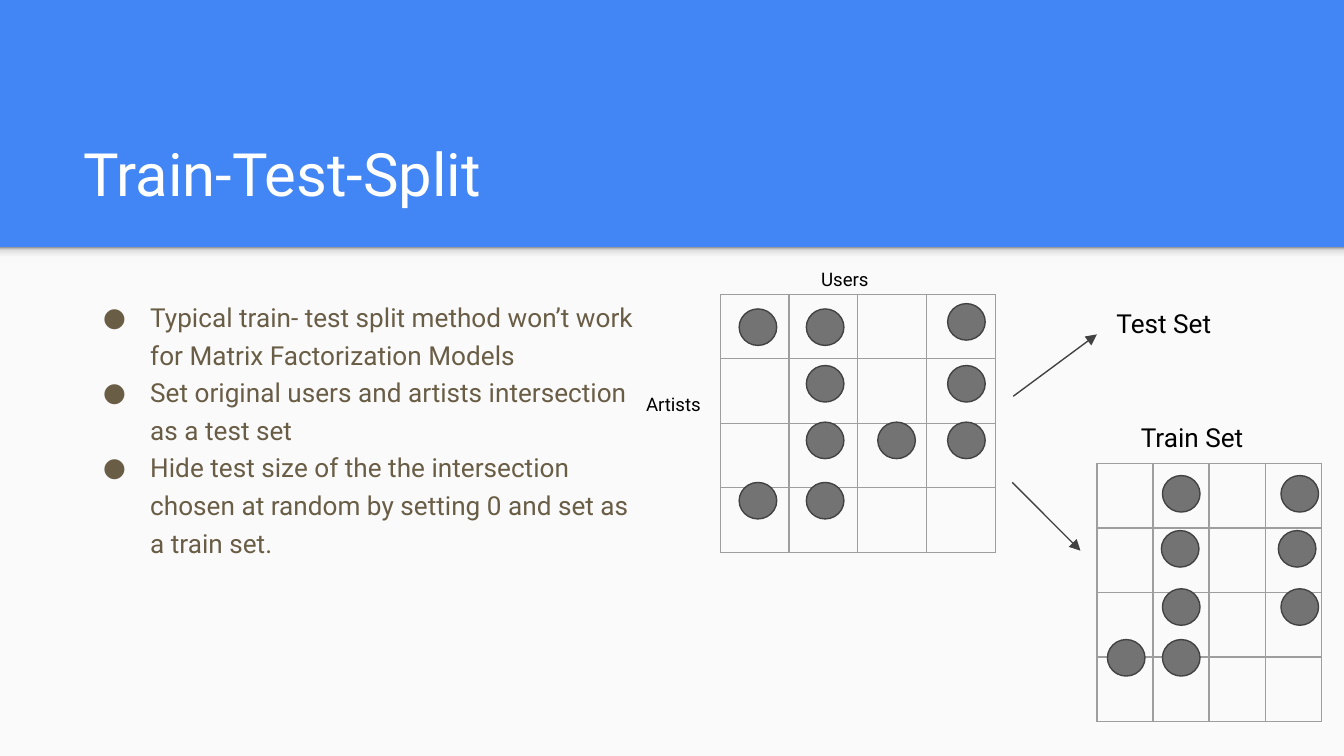
import pptx
import pptx.util
import pptx.dml.color
import pptx.enum.shapes
import pptx.enum.text
import pptx.oxml
import pptx.oxml.ns

Cm, Pt = pptx.util.Cm, pptx.util.Pt
SHAPE = pptx.enum.shapes.MSO_SHAPE
ANCHOR = pptx.enum.text.MSO_ANCHOR
NS = pptx.oxml.ns.nsdecls("a")


def rgb(value):
    return pptx.dml.color.RGBColor.from_string(value)


def xml(markup):
    """Parse DrawingML whose root tag ends with the mark @."""
    return pptx.oxml.parse_xml(markup.replace("@", " " + NS, 1))


def write(p, text, size=14, color="000000", font="Roboto"):
    r = p.add_run()
    r.text = text
    r.font.size, r.font.name = Pt(size), font
    r.font.color.rgb = rgb(color)


class Deck:
    BLUE, PAPER, WHITE, BROWN = "4285F4", "FAFAFA", "FFFFFF", "695D46"
    DOT, DARK, GRID = "737373", "424242", "9E9E9E"

    def __init__(self, slide):
        self.s = slide
        fill = slide.background.fill
        fill.solid()
        fill.fore_color.rgb = rgb(self.BLUE)

    def shape(self, kind, x, y, w, h, fill, line=None):
        sp = self.s.shapes.add_shape(kind, Cm(x), Cm(y), Cm(w), Cm(h))
        sp.shadow.inherit = False
        sp.fill.solid()
        sp.fill.fore_color.rgb = rgb(fill)
        if line:
            sp.line.color.rgb = rgb(line)
            sp.line.width = Pt(0.75)
        else:
            sp.line.fill.background()
        return sp

    def shadow_strip(self, x, y, w, h):
        sp = self.shape(SHAPE.RECTANGLE, x, y, w, h, self.PAPER)
        stops = [(0, "F9F9F9"), (36, "F9F9F9"), (80, "DEDEDE"), (100, "999999")]
        gs = "".join(f'<a:gs pos="{pos * 1000}"><a:srgbClr val="{c}"/></a:gs>'
                     for pos, c in stops)
        solid = sp._element.spPr.find(pptx.oxml.ns.qn("a:solidFill"))
        solid.getparent().replace(solid, xml(
            f'<a:gradFill@><a:gsLst>{gs}</a:gsLst>'
            '<a:lin ang="16200000" scaled="0"/></a:gradFill>'))

    def text(self, x, y, w, h, *paragraphs, anchor=ANCHOR.TOP, **fmt):
        tf = self.s.shapes.add_textbox(Cm(x), Cm(y), Cm(w), Cm(h)).text_frame
        tf.word_wrap = True
        tf.vertical_anchor = anchor
        tf.margin_left = tf.margin_right = tf.margin_top = tf.margin_bottom = Cm(0.25)
        for i, text in enumerate(paragraphs):
            write(tf.add_paragraph() if i else tf.paragraphs[0], text, **fmt)
        return tf

    def bullets(self, x, y, w, h, *items):
        tf = self.text(x, y, w, h, *items, color=self.BROWN)
        tf.paragraphs[0].space_before = Pt(6)
        for p in tf.paragraphs:
            p.line_spacing = 1.2
            pPr = p._p.get_or_add_pPr()
            pPr.set("marL", str(Cm(1.27)))
            pPr.set("indent", str(-Cm(0.89)))
            pPr.append(xml(f'<a:buClr@><a:srgbClr val="{self.BROWN}"/></a:buClr>'))
            pPr.append(xml('<a:buFont@ typeface="Roboto"/>'))
            pPr.append(xml('<a:buChar@ char="●"/>'))

    def grid(self, x, y, col, row, n=4):
        table = self.s.shapes.add_table(
            n, n, Cm(x), Cm(y), Cm(col * n), Cm(row * n)).table
        table.first_row = table.horz_banding = False
        for i in range(n):
            table.columns[i].width = Cm(col)
            table.rows[i].height = Cm(row)
        for cell in table.iter_cells():
            tcPr = cell._tc.get_or_add_tcPr()
            for side in ("lnL", "lnR", "lnT", "lnB"):
                tcPr.append(xml(
                    f'<a:{side}@ w="{Pt(0.75)}"><a:solidFill>'
                    f'<a:srgbClr val="{self.GRID}"/></a:solidFill></a:{side}>'))
            cell.fill.background()

    def dots(self, *centres):
        for x, y in centres:
            self.shape(SHAPE.OVAL, x, y, 0.71, 0.69, self.DOT, self.DARK)

    def arrow(self, x1, y1, x2, y2):
        cn = self.s.shapes.add_connector(
            pptx.enum.shapes.MSO_CONNECTOR.STRAIGHT, Cm(x1), Cm(y1), Cm(x2), Cm(y2))
        cn.line.color.rgb = rgb(self.DARK)
        cn.line.width = Pt(0.75)
        cn.line._get_or_add_ln().append(xml('<a:tailEnd@ type="triangle"/>'))
        cn._element.spPr.append(xml("<a:effectLst@/>"))


def main():
    prs = pptx.Presentation()
    prs.slide_width, prs.slide_height = Cm(25.4), Cm(14.29)
    d = Deck(prs.slides.add_slide(prs.slide_layouts[6]))

    # Header and content panel
    d.shape(SHAPE.RECTANGLE, 0, 4.67, 25.4, 9.62, d.PAPER)
    d.shadow_strip(0, 4.67, 25.4, 0.3)
    d.text(1.32, 2.06, 22.83, 2.13, "Train-Test-Split",
           anchor=ANCHOR.BOTTOM, size=32, color=d.WHITE)

    # Explanation
    d.bullets(1.32, 5.33, 11.1, 7.52,
              "Typical train- test split method won’t work for Matrix Factorization Models",
              "Set original users and artists intersection as a test set",
              "Hide test size of the the intersection chosen at random by setting 0 "
              "and set as a train set.")

    # Full matrix of users and artists
    d.grid(13.61, 5.56, 1.3, 1.22)
    c1, c2, c3, c4 = 13.97, 15.24, 16.59, 17.91
    r1, r2, r3, r4 = 5.84, 6.91, 7.98, 9.12
    d.dots((c1, r1), (c2, r1), (c4, 5.74), (c2, r2), (c4, r2),
           (c2, r3), (c3, r3), (c4, r3), (c1, r4), (c2, r4))
    d.text(15.27, 4.85, 1.91, 0.53, "Users", size=10)
    d.text(11.96, 7.21, 1.91, 0.53, "Artists", size=10)

    # Split into test set and train set
    d.arrow(19.15, 7.49, 20.73, 6.32)
    d.text(20.85, 5.56, 2.59, 0.76, "Test Set")
    d.arrow(19.13, 9.12, 20.42, 10.41)

    # Train matrix with hidden entries
    d.grid(20.73, 8.76, 1.06, 1.22)
    c1, c2, c4 = 20.93, 21.97, 24.21
    r1, r2, r3, r4 = 8.99, 10.03, 11.13, 12.09
    d.dots((c2, r1), (c4, r1), (21.95, r2), (24.16, r2),
           (c2, r3), (c4, r3), (c1, r4), (c2, r4))
    d.text(21.31, 7.72, 2.59, 0.86, "Train Set")

    prs.save("out.pptx")


if __name__ == "__main__":
    main()
